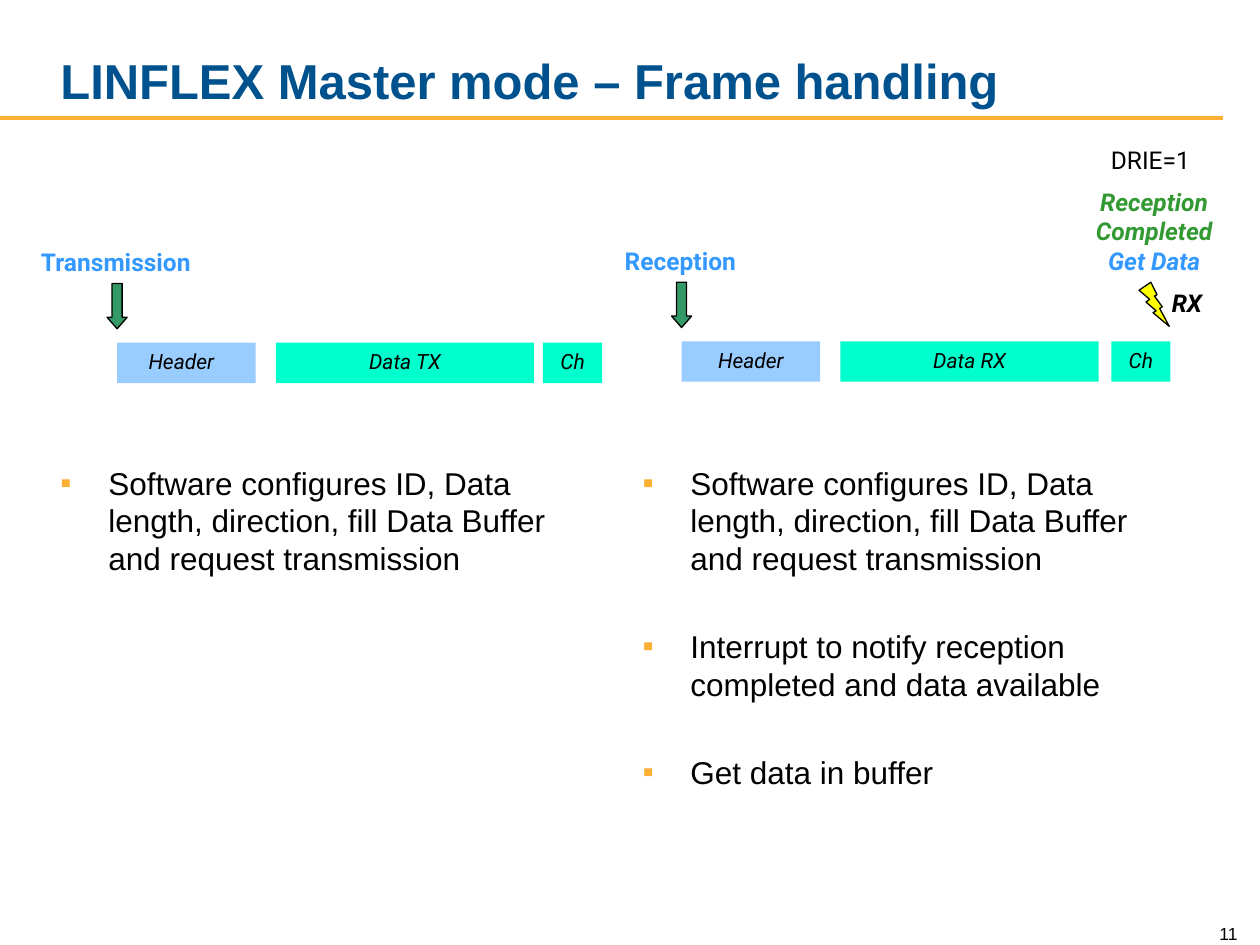
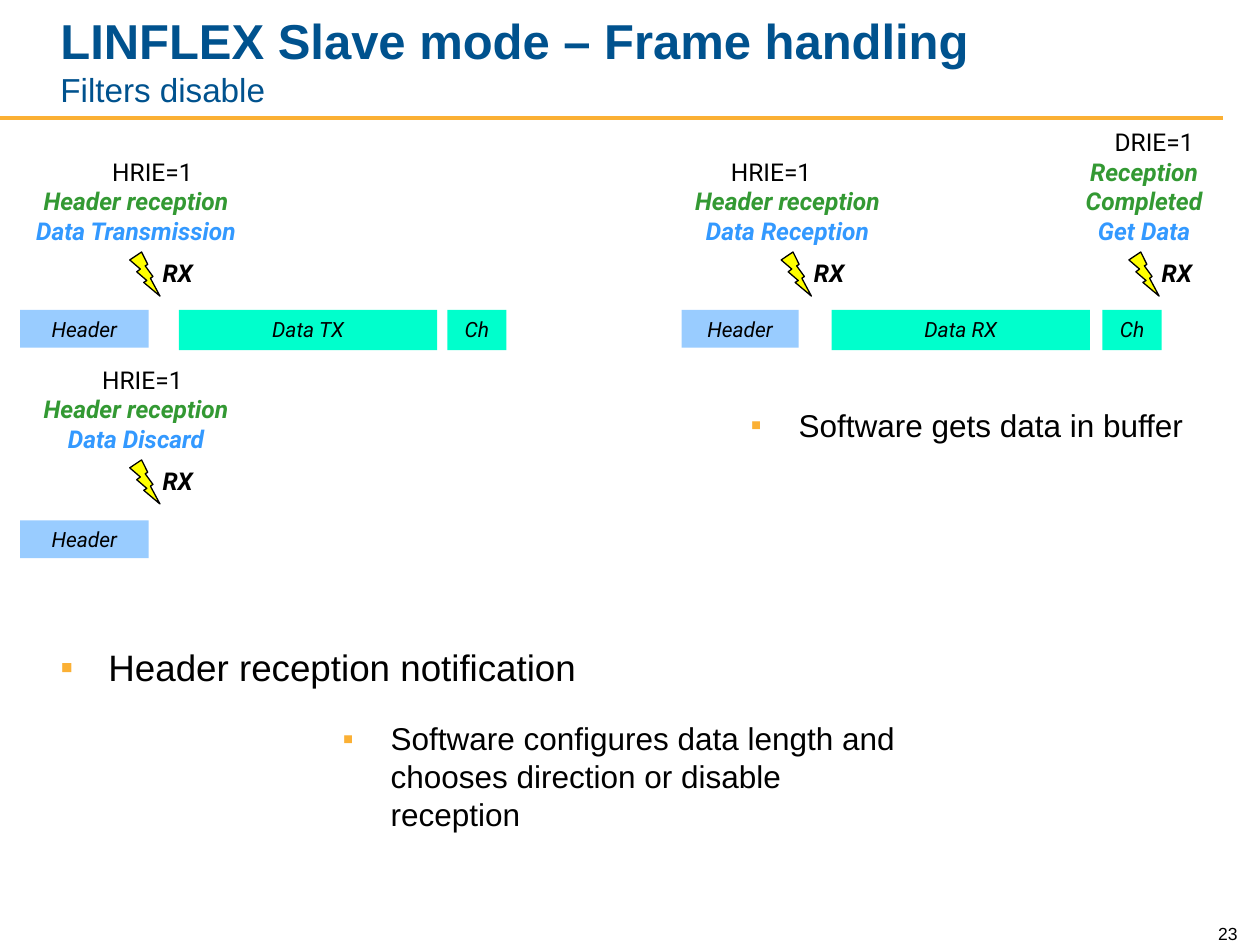
from collections import namedtuple

from lxml import etree
from pptx import Presentation
from pptx.dml.color import RGBColor
from pptx.enum.shapes import MSO_CONNECTOR as CONN, MSO_SHAPE as SHAPE
from pptx.enum.text import MSO_ANCHOR as ANCHOR, MSO_AUTO_SIZE as AUTO, PP_ALIGN as ALIGN
from pptx.oxml.ns import qn
from pptx.util import Inches, Pt

SLIDE_W, SLIDE_H = Inches(10), Inches(7.5)
COL, ROW = SLIDE_W / 100, SLIDE_H / 75

NAVY = RGBColor(0x00, 0x52, 0x8E)
AMBER = RGBColor(0xFB, 0xB0, 0x34)
BLACK = RGBColor(0, 0, 0)
SKY = RGBColor(0x99, 0xCC, 0xFF)
MINT = RGBColor(0x00, 0xFF, 0xCC)
LEAF = RGBColor(0x33, 0x99, 0x66)
YELLOW = RGBColor(0xFF, 0xFF, 0x00)
BLUE = RGBColor(0x33, 0x99, 0xFF)
GREEN = RGBColor(0x33, 0x99, 0x33)

HEAD_FONT, LABEL_FONT = "Arial", "Roboto"
BAR_H, DATA_W, CHECK_W = 3.2, 20.5, 4.7
LABEL_PAD, LETTER_W, LINE_H = 2.6, 1.1, 2.35
BOLT_W, BOLT_H = 2.4, 3.5

Box = namedtuple("Box", "x y w h")


def grid(box):
    return [int(n) for n in (box.x * COL, box.y * ROW, box.w * COL, box.h * ROW)]


def move(sp, box):
    sp.left, sp.top, sp.width, sp.height = grid(box)


def add_run(p, text, size, color, font=LABEL_FONT, bold=False, italic=False):
    r = p.add_run()
    r.text = text
    f = r.font
    f.size, f.name, f.bold, f.italic = Pt(size), font, bold, italic
    f.color.rgb = color


def label_height(lines):
    return 1 + LINE_H * len(lines)


def add_label(s, center, top, lines, **style):
    width = LABEL_PAD + LETTER_W * max(len(text) for text, _ in lines)
    box = Box(center - width / 2, top, width, label_height(lines))
    tf = s.shapes.add_textbox(*grid(box)).text_frame
    tf.word_wrap = False
    for i, (text, color) in enumerate(lines):
        p = tf.add_paragraph() if i else tf.paragraphs[0]
        p.alignment = ALIGN.CENTER
        add_run(p, text, 14, color, **style)


def add_preset(s, kind, box, fill, outlined=False):
    sp = s.shapes.add_shape(kind, *grid(box))
    sp.shadow.inherit = False
    sp.fill.solid()
    sp.fill.fore_color.rgb = fill
    if outlined:
        sp.line.color.rgb = BLACK
        sp.line.width = Pt(0.75)
    else:
        sp.line.fill.background()
    return sp


def add_bar(s, box, text, fill, trim=0):
    tf = add_preset(s, SHAPE.RECTANGLE, box, fill).text_frame
    tf.vertical_anchor = ANCHOR.TOP
    tf.margin_right = Inches(0.1) + int(trim * COL)
    p = tf.paragraphs[0]
    p.alignment = ALIGN.CENTER
    add_run(p, text, 12, BLACK, italic=True)


def frame(s, box, data, gap, check_gap, trim=0):
    add_bar(s, box, "Header", SKY, trim)
    data_box = Box(box.x + box.w + gap, box.y, DATA_W, BAR_H)
    add_bar(s, data_box, data, MINT)
    check_x = data_box.x + DATA_W + check_gap
    add_bar(s, data_box._replace(x=check_x, w=CHECK_W), "Ch", MINT)


def start_arrow(s, box, text):
    sp = add_preset(s, SHAPE.DOWN_ARROW, box, LEAF, outlined=True)
    sp.adjustments[0], sp.adjustments[1] = 0.5, 0.57
    lines = [(text, BLUE)]
    add_label(s, box.x + box.w / 2 - 0.1, box.y - label_height(lines), lines, bold=True)


def interrupt(s, box, flag, rise, texts, flag_shift, shift=0):
    add_preset(s, SHAPE.LIGHTNING_BOLT, box, YELLOW, outlined=True)
    add_label(s, box.x + 3.8, box.y, [("RX", BLACK)], bold=True, italic=True)
    center = box.x + box.w / 2
    lines = [(text, GREEN) for text in texts[:-1]] + [(texts[-1], BLUE)]
    add_label(s, center + shift, box.y - label_height(lines), lines,
              bold=True, italic=True)
    add_label(s, center + flag_shift, box.y - rise, [(flag, BLACK)])


def set_bullet(p):
    pPr = p._p.get_or_add_pPr()
    pPr.set("marL", str(Inches(0.38)))
    pPr.set("indent", str(-Inches(0.38)))
    clr = etree.SubElement(pPr, qn("a:buClr"))
    etree.SubElement(clr, qn("a:srgbClr")).set("val", str(AMBER))
    etree.SubElement(pPr, qn("a:buFont")).set("typeface", HEAD_FONT)
    etree.SubElement(pPr, qn("a:buChar")).set("char", "▪")


def bullets(sp, box, items, size=18):
    move(sp, box)
    tf = sp.text_frame
    tf.word_wrap = True
    tf.auto_size = AUTO.NONE
    for i, text in enumerate(items):
        p = tf.add_paragraph() if i else tf.paragraphs[0]
        set_bullet(p)
        p.alignment = ALIGN.LEFT
        p.space_before = Pt(28.6 if i else 0)
        add_run(p, text, size, BLACK, HEAD_FONT)


def base_slide(prs, title, number, subtitle=None):
    s = prs.slides.add_slide(prs.slide_layouts.get_by_name("Two Content"))
    rule_y = int(9.4 * ROW)
    rule = s.shapes.add_connector(CONN.STRAIGHT, 0, rule_y, int(97.1 * COL), rule_y)
    rule.line.color.rgb = AMBER
    rule.line.width = Pt(2.25)
    etree.SubElement(rule._element.spPr, qn("a:effectLst"))

    move(s.shapes.title, Box(3.8, 1.7, 81.7, 7.5))
    tf = s.shapes.title.text_frame
    tf.auto_size = AUTO.NONE
    tf.vertical_anchor = ANCHOR.BOTTOM
    p = tf.paragraphs[0]
    p.alignment = ALIGN.LEFT
    add_run(p, title, 28, NAVY, HEAD_FONT, bold=True)
    if subtitle:
        p.add_line_break()
        add_run(p, subtitle, 19, NAVY, HEAD_FONT)

    tf = s.shapes.add_textbox(*grid(Box(94.2, 72, 5, 3))).text_frame
    tf.vertical_anchor = ANCHOR.BOTTOM
    tf.margin_bottom = Inches(0.01)
    p = tf.paragraphs[0]
    p.alignment = ALIGN.RIGHT
    add_run(p, number, 10, BLACK, HEAD_FONT)
    return s


def master_slide(prs):
    s = base_slide(prs, "LINFLEX Master mode – Frame handling", "11")
    request = "Software configures ID, Data length, direction, fill Data Buffer and request transmission"
    left = Box(3.8, 36.3, 44.6, 30.3)
    bullets(s.placeholders[1], left, [request])
    bullets(s.placeholders[2], left._replace(x=50), [
        request,
        "Interrupt to notify reception completed and data available",
        "Get data in buffer",
    ])
    frame(s, Box(9.3, 27.2, 11, BAR_H), "Data TX", 1.6, 0.7, trim=0.8)
    frame(s, Box(54.1, 27.1, 11, BAR_H), "Data RX", 1.6, 1)
    start_arrow(s, Box(8.5, 22.5, 1.6, 3.6), "Transmission")
    start_arrow(s, Box(53.3, 22.4, 1.6, 3.6), "Reception")
    interrupt(s, Box(90.4, 22.4, BOLT_W, BOLT_H), "DRIE=1", 11.4,
              ["Reception", "Completed", "Get Data"], -0.3)


def slave_slide(prs):
    s = base_slide(prs, "LINFLEX Slave mode – Frame handling", "23", "Filters disable")
    bullets(s.placeholders[1], Box(3.8, 50.7, 44.6, 15.9),
            ["Header reception notification"], size=21)
    bullets(s.placeholders[2], Box(26.2, 56.6, 45.9, 10.5),
            ["Software configures data length and chooses direction or disable reception"])
    note = Box(58.6, 31.7, 38.3, 4.3)
    bullets(s.shapes.add_textbox(*grid(note)), note, ["Software gets data in buffer"])

    header = Box(1.6, 24.6, 10.2, 3)
    frame(s, header, "Data TX", 2.4, 0.8)
    frame(s, header._replace(x=54.1, w=9.3), "Data RX", 2.6, 1)
    add_bar(s, header._replace(y=41.3), "Header", SKY)

    bolt = Box(10.3, 20, BOLT_W, BOLT_H)
    for box, action, flag_shift in (
        (bolt, "Data Transmission", 0.6),
        (bolt._replace(y=36.5), "Data Discard", -0.2),
        (bolt._replace(x=62), "Data Reception", -2),
    ):
        interrupt(s, box, "HRIE=1", 8, ["Header reception", action], flag_shift, -0.7)
    interrupt(s, bolt._replace(x=89.6), "DRIE=1", 10.4,
              ["Reception", "Completed", "Get Data"], 0.8)


def main():
    prs = Presentation()
    prs.slide_width, prs.slide_height = SLIDE_W, SLIDE_H
    master_slide(prs)
    slave_slide(prs)
    prs.save("out.pptx")


if __name__ == "__main__":
    main()
